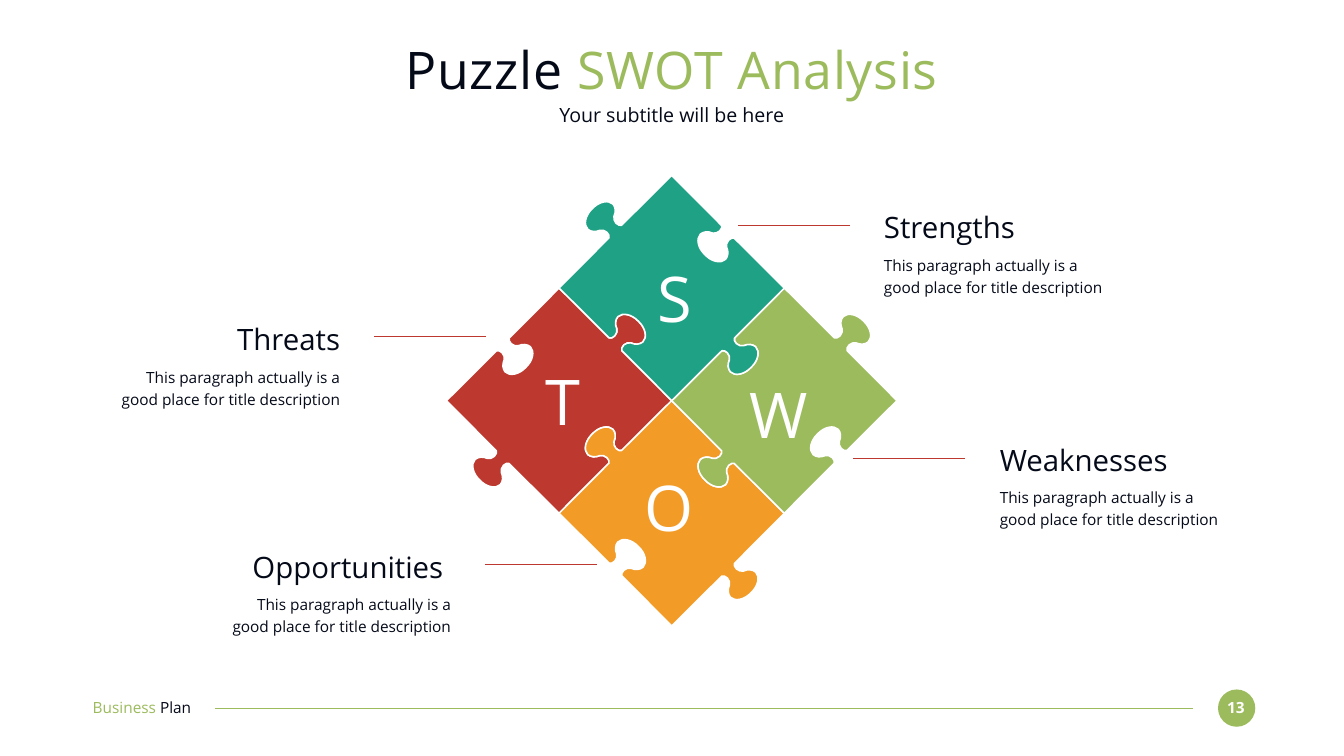
from lxml import etree
from pptx import Presentation
from pptx.dml.color import RGBColor
from pptx.enum.shapes import MSO_CONNECTOR, MSO_SHAPE
from pptx.enum.text import MSO_ANCHOR, MSO_AUTO_SIZE, PP_ALIGN
from pptx.oxml.ns import qn
from pptx.util import Pt

PX = 9144  # EMU per px, 100 px to the inch
WIDTH, HEIGHT = 2667, 1500
FONT = "Open Sans"
LEFT, CENTER, RIGHT = PP_ALIGN.LEFT, PP_ALIGN.CENTER, PP_ALIGN.RIGHT
MIDDLE = MSO_ANCHOR.MIDDLE
GROW, FIXED = MSO_AUTO_SIZE.SHAPE_TO_FIT_TEXT, MSO_AUTO_SIZE.NONE
OVAL, STRAIGHT = MSO_SHAPE.OVAL, MSO_CONNECTOR.STRAIGHT

COLORS = {
    "ink": "050A19", "white": "FFFFFF", "green": "9CBB5D",
    "red": "BD382F", "orange": "F29B27", "teal": "1FA185",
}

# Puzzle geometry, relative to the centre of a piece
TILE = 447
HALF = TILE / 2
HUB = (1333, 795)
# First half of the socket in the upper left edge: Bezier points to its middle
HALF_SOCKET = [
    (-99, -124), (-100, -121), (-99, -117), (-95, -113),
    (-91, -109), (-85, -108), (-81, -109),
    (-72, -113), (-63, -112), (-57, -107),
    (-48, -98), (-52, -79), (-66, -66),
]

# Colour, offset from the hub in half tiles, whether the upper left edge is a tab
PIECES = [
    ("red", (-1, 0), False),
    ("orange", (0, 1), True),
    ("green", (1, 0), False),
    ("teal", (0, -1), True),
]
# Letter, left, top
LETTERS = [("W", 1440, 744), ("S", 1235, 514), ("T", 1012, 719), ("O", 1222, 930)]
# Heading, left, top, alignment, leader start, leader height
TOPICS = [
    ("Threats", 221, 637, RIGHT, 964, 668),
    ("Opportunities ", 441, 1088, RIGHT, 1184, 1120),
    ("Strengths", 1754, 415, LEFT, 1686, 448),
    ("Weaknesses", 1984, 876, LEFT, 1915, 910),
]
DESCRIPTION = "This paragraph actually is a good place for title description"


def px(*values):
    return [round(v * PX) for v in values]


def rgb(name):
    return RGBColor.from_string(COLORS[name])


def add_text(slide, box, runs, size, align=LEFT, spacing=None, bold=False,
             tracking=None, fit=GROW):
    """Add one paragraph; runs is a list of (text, colour name)."""
    tf = slide.shapes.add_textbox(*px(*box)).text_frame
    frame_format = {
        "word_wrap": True, "auto_size": fit, "vertical_anchor": MIDDLE,
        "margin_left": 0, "margin_top": 0, "margin_right": 0, "margin_bottom": 0,
    }
    for name, value in frame_format.items():
        setattr(tf, name, value)
    p = tf.paragraphs[0]
    p.alignment = align
    if spacing:
        p.line_spacing = spacing
    for text, color in runs:
        r = p.add_run()
        r.text = text
        for name, value in {"name": FONT, "size": Pt(size), "bold": bold}.items():
            setattr(r.font, name, value)
        r.font.color.rgb = rgb(color)
        if tracking:
            r.font._element.set("spc", str(tracking))


def add_rule(slide, start, end, y, color):
    line = slide.shapes.add_connector(STRAIGHT, *px(start, y, end, y))
    line.line.color.rgb = rgb(color)
    line.line.width = Pt(1.5)
    etree.SubElement(line._element.spPr, qn("a:effectLst"))


def piece_outline(tab_first):
    """Bezier points of a piece, counterclockwise from its top corner."""
    socket = HALF_SOCKET + [(y, x) for x, y in HALF_SOCKET[-2::-1]]
    corner = (-HALF, 0)
    # A straight side is a curve whose control points lie on its end
    socket = [socket[0]] * 2 + socket + [corner] * 3
    tab = [(-HALF - y, -HALF - x) for x, y in socket[:-3][::-1]]
    tab = [(y, x) for x, y in socket[:0]] + tab
    knob = [(-HALF - y, -HALF - x) for x, y in socket[2:-3]]
    tab = [knob[0]] * 2 + knob + [corner] * 3
    outline = []
    for turn in range(4):
        edge = tab if (turn % 2 == 0) == tab_first else socket
        for _ in range(turn):
            edge = [(y, -x) for x, y in edge]
        outline += edge
    return outline


def add_piece(slide, color, offset, tab_first):
    cx, cy = (h + o * HALF for h, o in zip(HUB, offset))
    points = [px(cx + x, cy + y) for x, y in piece_outline(tab_first)]
    builder = slide.shapes.build_freeform(*px(cx, cy - HALF), scale=1.0)
    builder.add_line_segments(points, close=True)
    sp = builder.convert_to_shape()
    # Join every three segments into one Bezier curve
    segments = list(sp._element.iter(qn("a:lnTo")))
    for i in range(0, len(segments), 3):
        curve = etree.Element(qn("a:cubicBezTo"))
        segments[i].addprevious(curve)
        for segment in segments[i:i + 3]:
            curve.append(segment[0])
            segment.getparent().remove(segment)
    sp.shadow.inherit = False
    sp.fill.solid()
    sp.fill.fore_color.rgb = rgb(color)
    sp.line.color.rgb = rgb("white")
    sp.line.width = Pt(2.25)


def add_topic(slide, heading, left, top, align, leader, leader_y):
    add_text(slide, (left, top, 454, 71), [(heading, "ink")], 42, align)
    add_text(slide, (left, top + 85, 454, 89), [(DESCRIPTION, "ink")], 22, align,
             spacing=1.2)
    add_rule(slide, leader, leader - 222, leader_y, "red")


def add_footer(slide):
    badge = slide.shapes.add_shape(OVAL, *px(2417, 1368, 74, 74))
    badge.shadow.inherit = False
    badge.fill.solid()
    badge.fill.fore_color.rgb = rgb("green")
    badge.line.fill.background()
    add_text(slide, (2423, 1385, 59, 37), [("13", "white")], 22, CENTER, bold=True)
    add_rule(slide, 2367, 427, 1405, "green")
    add_text(slide, (184, 1384, 259, 37), [("Business ", "green"), ("Plan", "ink")], 22)


def main():
    prs = Presentation()
    prs.slide_width, prs.slide_height = px(WIDTH, HEIGHT)
    slide = prs.slides.add_slide(prs.slide_layouts[6])

    add_footer(slide)

    # Title and subtitle
    add_text(slide, (183, 73, 2300, 127),
             [("Puzzle ", "ink"), ("SWOT Analysis", "green")], 74, CENTER,
             tracking=100, fit=FIXED)
    add_text(slide, (183, 203, 2300, 49), [("Your subtitle will be here", "ink")],
             28, CENTER, fit=FIXED)

    # Puzzle, topics and letters
    for piece in PIECES:
        add_piece(slide, *piece)
    for topic in TOPICS:
        add_topic(slide, *topic)
    for letter, left, top in LETTERS:
        add_text(slide, (left, top, 210, 151), [(letter, "white")], 90, CENTER)

    prs.save("out.pptx")


if __name__ == "__main__":
    main()
